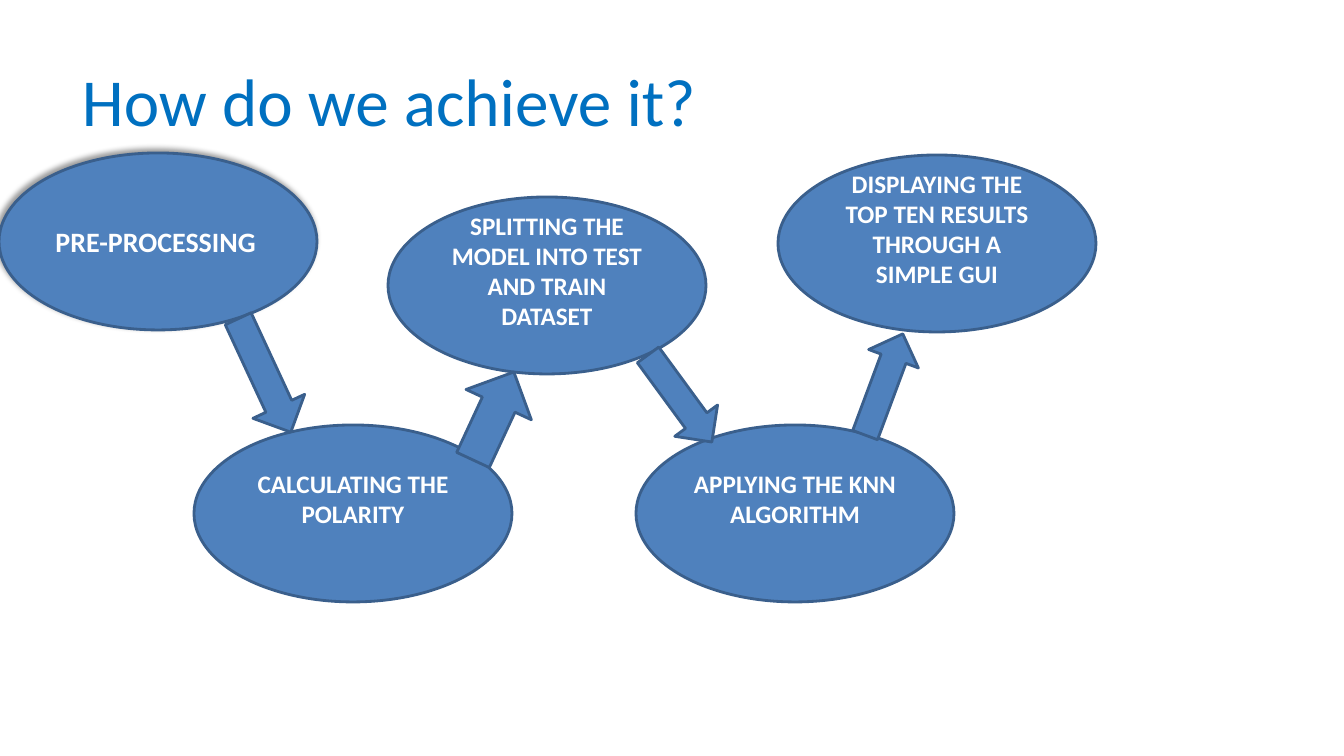
from lxml.etree import SubElement
from pptx import Presentation
from pptx.dml.color import RGBColor
from pptx.enum.shapes import MSO_SHAPE as Shape
from pptx.enum.text import MSO_ANCHOR as Anchor, PP_ALIGN as Align
from pptx.oxml.ns import qn
from pptx.util import Pt

SCALE = 914400 / 100.8
FONT = "Calibri"
BLUE, OUTLINE, WHITE, TITLE_BLUE = "4F81BD", "3A5F8C", "FFFFFF", "0070C0"

TITLE = "How do we achieve it?"
TITLE_BOX = (72, 46, 962, 107)
STEP_SIZE = (318, 177)
INSET = 5
LIFTED_INSET = 35
FIRST_STEP = {"size": 20, "align": Align.LEFT, "bottom": INSET}
LATER_STEP = {"size": 18, "align": Align.CENTER, "bottom": LIFTED_INSET}
STEPS = [
    ("PRE-PROCESSING", -1, 153, FIRST_STEP),
    ("DISPLAYING THE TOP TEN RESULTS THROUGH A SIMPLE GUI", 778, 155, LATER_STEP),
    ("APPLYING THE KNN ALGORITHM", 636, 425, LATER_STEP),
    ("SPLITTING THE MODEL INTO TEST AND TRAIN DATASET", 388, 197, LATER_STEP),
    ("CALCULATING THE POLARITY", 194, 425, LATER_STEP),
]
ARROWS = [
    ((202, 347, 125, 57), 65.1),
    ((445, 380, 97, 72), 294.9),
    ((626, 372, 108, 53), 53.8),
    ((830, 358, 108, 53), 290.4),
]
SHADOW = {"blurRad": Pt(4), "dist": Pt(3), "dir": 225 * 60000, "algn": "br", "rotWithShape": 0}


def px(length):
    return round(length * SCALE)


def color(value):
    return RGBColor.from_string(value)


def set_all(target, values):
    for name, value in values.items():
        setattr(target, name, value)


def write(shape, text, size, text_color, bold=False, align=Align.LEFT, bottom=INSET):
    frame = shape.text_frame
    set_all(frame, {"word_wrap": True, "vertical_anchor": Anchor.MIDDLE,
                    "margin_bottom": px(bottom)})
    paragraph = frame.paragraphs[0]
    paragraph.alignment = align
    run = paragraph.add_run()
    run.text = text
    set_all(run.font, {"name": FONT, "size": Pt(size), "bold": bold})
    run.font.color.rgb = color(text_color)


def add_blue_shape(slide, kind, box):
    shape = slide.shapes.add_shape(kind, *map(px, box))
    shape.shadow.inherit = False
    shape.fill.solid()
    shape.fill.fore_color.rgb = color(BLUE)
    shape.line.color.rgb = color(OUTLINE)
    shape.line.width = Pt(2)
    return shape


def add_shadow(shape):
    effects = shape._element.spPr.find(qn("a:effectLst"))
    shadow = SubElement(effects, qn("a:outerShdw"),
                        {name: str(value) for name, value in SHADOW.items()})
    black = SubElement(shadow, qn("a:srgbClr"), val="000000")
    SubElement(black, qn("a:alpha"), val="40000")


def main():
    presentation = Presentation()
    set_all(presentation, {"slide_width": px(1344), "slide_height": px(756)})
    slide = presentation.slides.add_slide(presentation.slide_layouts[6])

    title = slide.shapes.add_textbox(*map(px, TITLE_BOX))
    write(title, TITLE, 48, TITLE_BLUE)

    for text, left, top, style in STEPS:
        step = add_blue_shape(slide, Shape.OVAL, (left, top, *STEP_SIZE))
        write(step, text, text_color=WHITE, bold=True, **style)
        if style is FIRST_STEP:
            add_shadow(step)

    for box, angle in ARROWS:
        arrow = add_blue_shape(slide, Shape.RIGHT_ARROW, box)
        arrow.rotation = angle

    presentation.save("out.pptx")


if __name__ == "__main__":
    main()
